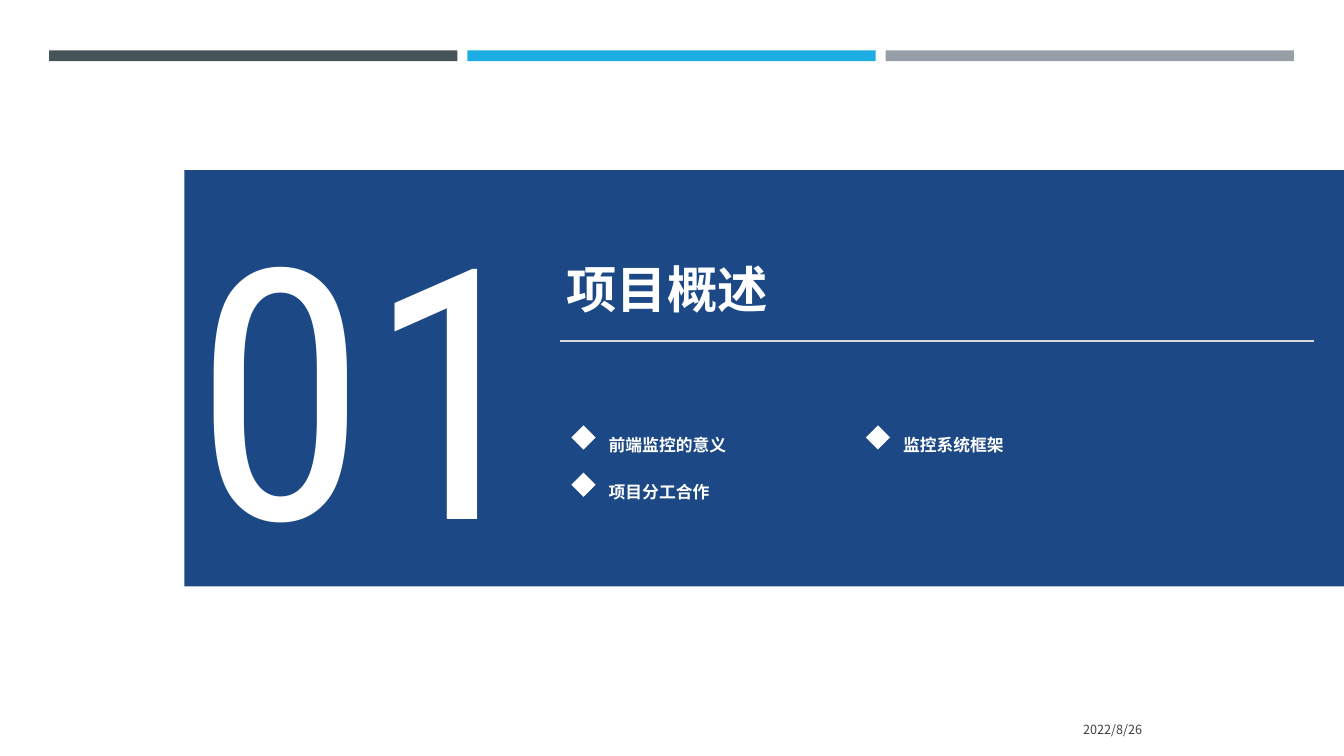
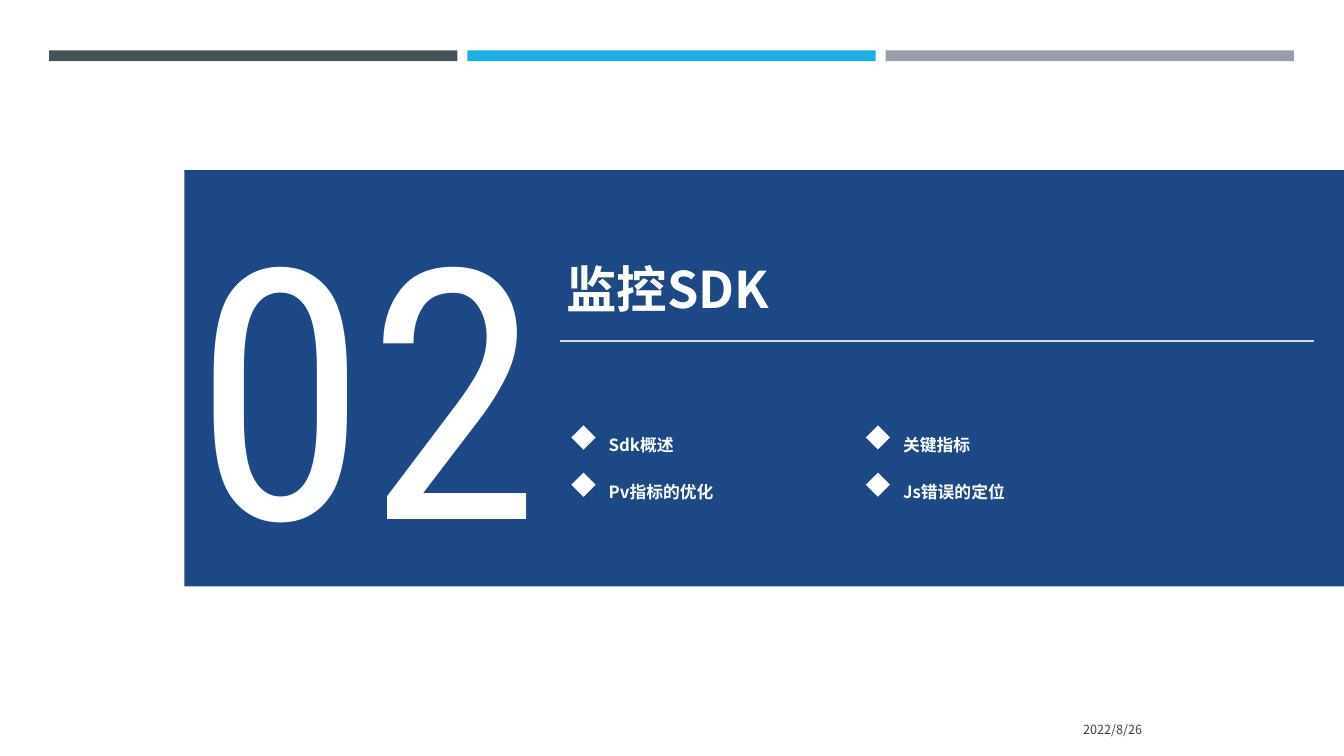
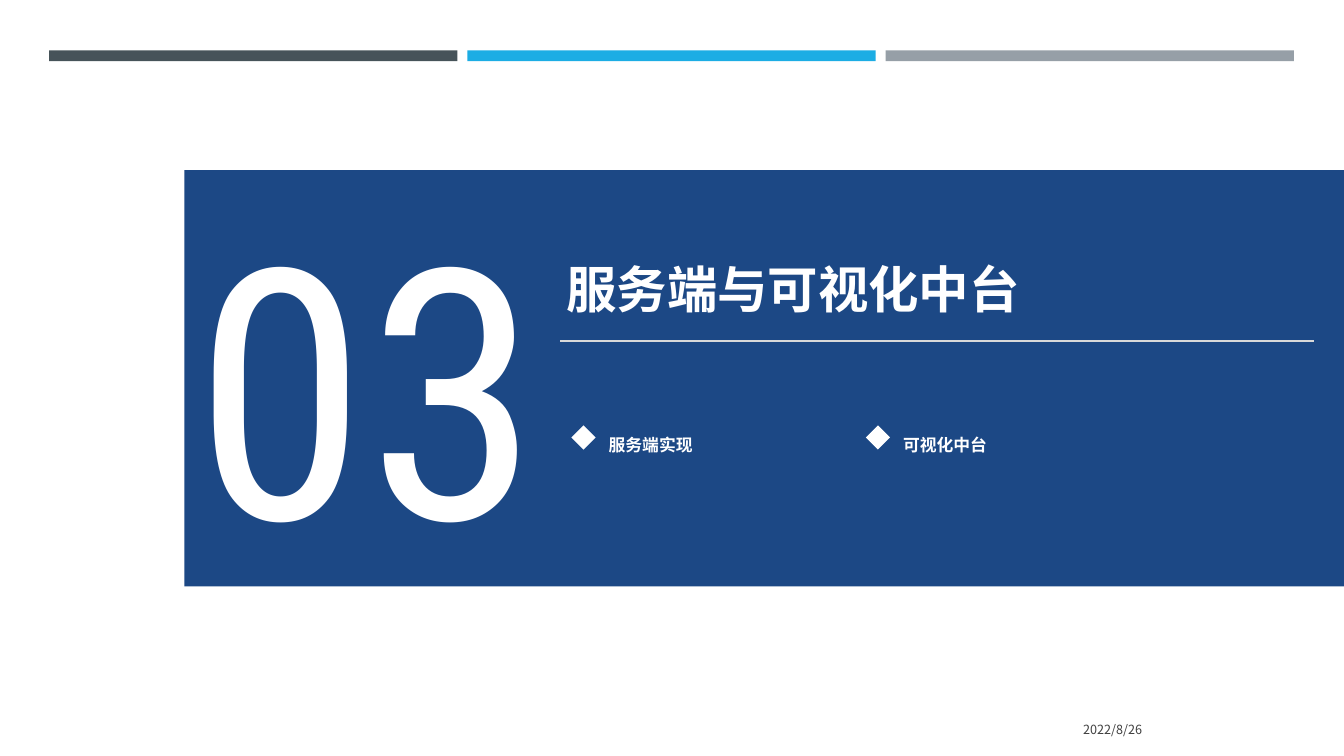
"""Builds the three section divider slides of a front-end monitoring deck."""
from lxml import etree
from pptx import Presentation
from pptx.dml.color import RGBColor
from pptx.enum import shapes, text
from pptx.oxml import ns
from pptx.util import Cm, Pt

COLORS = {
    "slate": "465359",
    "sky": "1CADE4",
    "grey": "969FA7",
    "panel": "1C4885",
    "rule": "D9D9D9",
    "date": "404040",
    "white": "FFFFFF",
}
BODY_FONT = "Noto Sans CJK SC"
NUMBER_FONT = "Roboto Condensed"
SLIDE_WIDTH, SLIDE_HEIGHT = 33.87, 19.05
BAR_LEFT, BAR_WIDTH, BAR_PITCH = 1.24, 10.29, 10.54
PANEL_LEFT = 4.65
TOPIC_LEFT, TOPIC_TOP = 14.4, 10.72
TOPIC_COLUMNS, COLUMN_PITCH, ROW_PITCH = 2, 7.42, 1.19
DATE = "2022/8/26"
SECTIONS = [
    ("01", "项目概述", 9.27, ["前端监控的意义", "监控系统框架", "项目分工合作"]),
    ("02", "监控SDK", 9.27, ["Sdk概述", "关键指标", "Pv指标的优化", "Js错误的定位"]),
    ("03", "服务端与可视化中台", 14.76, ["服务端实现", "可视化中台"]),
]


def color(name):
    return RGBColor.from_string(COLORS[name])


def add_text(parent, words, left, top, width, height, *, size, font=BODY_FONT,
             fill="white", bold=False, align=text.PP_ALIGN.LEFT,
             anchor=text.MSO_ANCHOR.TOP, spacing=1.0,
             fit=text.MSO_AUTO_SIZE.SHAPE_TO_FIT_TEXT):
    box = parent.shapes.add_textbox(Cm(left), Cm(top), Cm(width), Cm(height))
    frame = box.text_frame
    frame.word_wrap = True
    frame.auto_size = fit
    frame.vertical_anchor = anchor
    paragraph = frame.paragraphs[0]
    paragraph.alignment = align
    paragraph.line_spacing = spacing
    run = paragraph.add_run()
    run.text = words
    run.font.size = Pt(size)
    run.font.bold = bold
    run.font.name = font
    run.font.color.rgb = color(fill)
    east_asian = etree.SubElement(run.font._element, ns.qn("a:ea"))
    east_asian.set("typeface", font)


def add_block(parent, kind, fill, left, top, width, height):
    block = parent.shapes.add_shape(kind, Cm(left), Cm(top), Cm(width), Cm(height))
    block.shadow.inherit = False
    block.fill.solid()
    block.fill.fore_color.rgb = color(fill)
    block.line.fill.background()


def add_rule(slide, left, right, y):
    rule = slide.shapes.add_connector(
        shapes.MSO_CONNECTOR.STRAIGHT, Cm(left), Cm(y), Cm(right), Cm(y))
    rule.line.color.rgb = color("rule")
    rule.line.width = Pt(1)
    etree.SubElement(rule._element.spPr, ns.qn("a:effectLst"))


def add_topic(slide, index, topic):
    row, column = divmod(index, TOPIC_COLUMNS)
    left = TOPIC_LEFT + column * COLUMN_PITCH
    top = TOPIC_TOP + row * ROW_PITCH
    entry = slide.shapes.add_group_shape()
    add_text(entry, topic, left + 0.69, top - 0.15, 5.77, 0.94,
             size=12, bold=True, spacing=1.5)
    add_block(entry, shapes.MSO_SHAPE.DIAMOND, "white", left, top, 0.61, 0.61)


def add_frame(slide):
    for index, fill in enumerate(("slate", "sky", "grey")):
        add_block(slide, shapes.MSO_SHAPE.RECTANGLE, fill,
                  BAR_LEFT + index * BAR_PITCH, 1.27, BAR_WIDTH, 0.27)
    add_text(slide, DATE, 21.13, 17.86, 7.9, 1.02, size=9, fill="date",
             align=text.PP_ALIGN.RIGHT, anchor=text.MSO_ANCHOR.MIDDLE,
             fit=text.MSO_AUTO_SIZE.NONE)
    add_block(slide, shapes.MSO_SHAPE.RECTANGLE, "panel",
              PANEL_LEFT, 4.29, SLIDE_WIDTH - PANEL_LEFT, 10.49)
    add_rule(slide, 14.12, 33.12, 8.59)


def add_section(deck, number, title, title_width, topics):
    slide = deck.slides.add_slide(deck.slide_layouts[6])
    add_frame(slide)
    add_text(slide, title, 14.02, 6.38, title_width, 1.8, size=36, bold=True,
             align=text.PP_ALIGN.JUSTIFY)
    for index, topic in enumerate(topics):
        add_topic(slide, index, topic)
    add_text(slide, number, 4.6, 4.14, 9.32, 10.95, size=250, font=NUMBER_FONT,
             align=text.PP_ALIGN.CENTER)


def main():
    deck = Presentation()
    deck.slide_width = Cm(SLIDE_WIDTH)
    deck.slide_height = Cm(SLIDE_HEIGHT)
    for section in SECTIONS:
        add_section(deck, *section)
    deck.save("out.pptx")


if __name__ == "__main__":
    main()
